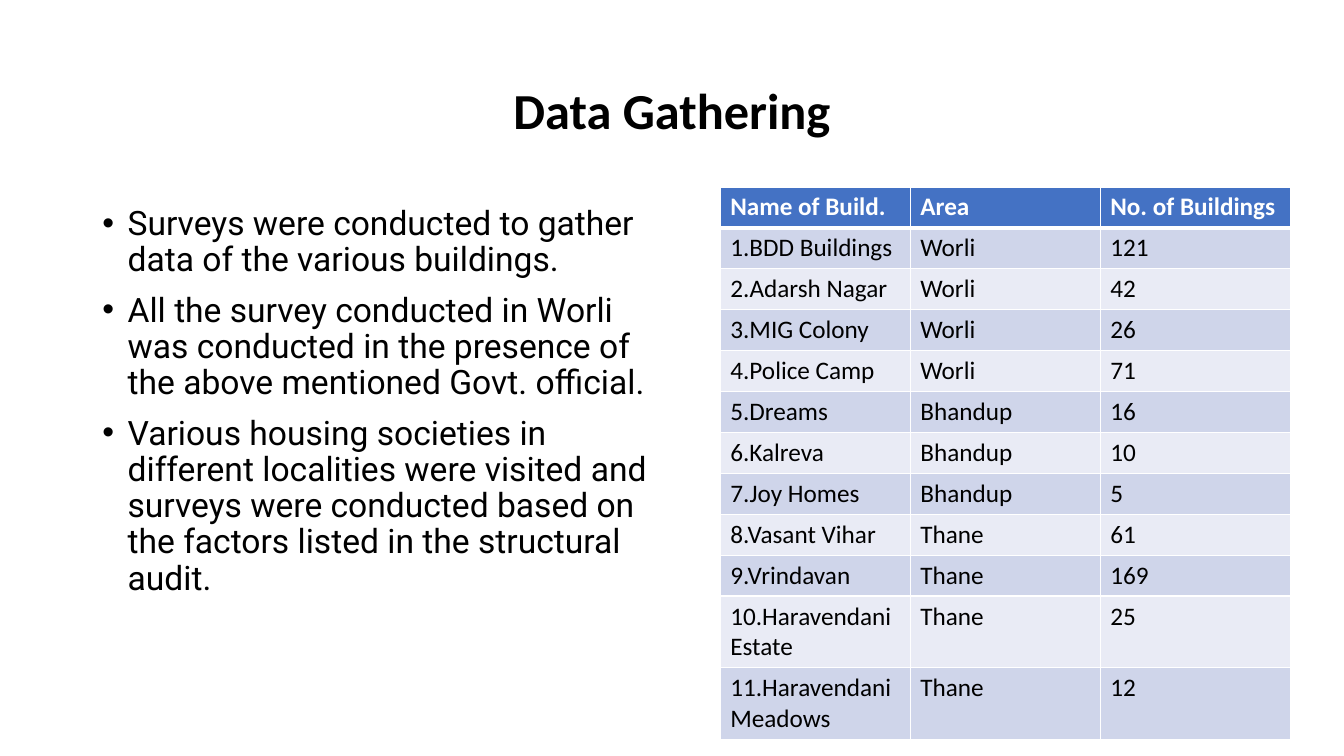
from dataclasses import dataclass

from lxml.etree import SubElement
from pptx import Presentation
from pptx.dml.color import RGBColor
from pptx.enum.text import MSO_ANCHOR, MSO_AUTO_SIZE, PP_ALIGN
from pptx.oxml.ns import qn
from pptx.util import Emu, Pt

EMU_PER_PX = 9525


@dataclass(frozen=True)
class Theme:
    text: str = "000000"
    white: str = "FFFFFF"
    header: str = "4472C4"
    bands: tuple = ("CFD5EA", "E9EBF5")
    heading_font: str = "Calibri"
    body_font: str = "Roboto"
    title_size: int = 36
    body_size: int = 24
    table_size: int = 18


THEME = Theme()

POINTS = [
    "Surveys were conducted to gather data of the various buildings.",
    "All the survey conducted in Worli was conducted in the presence of "
    "the above mentioned Govt. official.",
    "Various housing societies in different localities were visited and "
    "surveys were conducted based on the factors listed in the structural audit.",
]

HEADINGS = ("Name of Build.", "Area", "No. of Buildings")
BUILDINGS = [
    ("BDD Buildings", "Worli", 121),
    ("Adarsh Nagar", "Worli", 42),
    ("MIG Colony", "Worli", 26),
    ("Police Camp", "Worli", 71),
    ("Dreams", "Bhandup", 16),
    ("Kalreva", "Bhandup", 10),
    ("Joy Homes", "Bhandup", 5),
    ("Vasant Vihar", "Thane", 61),
    ("Vrindavan", "Thane", 169),
    ("Haravendani Estate", "Thane", 25),
    ("Haravendani Meadows", "Thane", 12),
]


def px(n):
    return Emu(n * EMU_PER_PX)


def write(p, text, *, size, font=THEME.heading_font, color=THEME.text,
          bold=False, align=None, line=None, before=None):
    """Put one formatted run into a paragraph."""
    r = p.add_run()
    r.text = text
    r.font.name, r.font.size, r.font.bold = font, Pt(size), bold
    r.font.color.rgb = RGBColor.from_string(color)
    if align is not None:
        p.alignment = align
    if line is not None:
        p.line_spacing = line
    if before is not None:
        p.space_before = Pt(before)


def place(sp, x, y, w, h, anchor):
    """Move a placeholder and return its text frame."""
    sp.left, sp.top, sp.width, sp.height = map(px, (x, y, w, h))
    tf = sp.text_frame
    tf.word_wrap = True
    tf.auto_size = MSO_AUTO_SIZE.NONE
    tf.vertical_anchor = anchor
    return tf


def add_bullet(p, indent):
    pPr = p._p.get_or_add_pPr()
    pPr.set("marL", str(px(indent)))
    pPr.set("indent", str(px(-indent)))
    SubElement(pPr, qn("a:buFont"), typeface="Arial")
    SubElement(pPr, qn("a:buChar"), char="•")


def set_borders(cell, top=1, bottom=1):
    tcPr = cell._tc.get_or_add_tcPr()
    for side, width in (("L", 1), ("R", 1), ("T", top), ("B", bottom)):
        ln = SubElement(tcPr, qn(f"a:ln{side}"), w=str(Pt(width)))
        fill = SubElement(ln, qn("a:solidFill"))
        SubElement(fill, qn("a:srgbClr"), val=THEME.white)


def add_title(slide, text):
    tf = place(slide.shapes.title, 88, 38, 1104, 139, MSO_ANCHOR.MIDDLE)
    write(tf.paragraphs[0], text, size=THEME.title_size, bold=True,
          align=PP_ALIGN.CENTER, line=0.9)


def add_points(slide, points):
    tf = place(slide.placeholders[1], 88, 192, 544, 457, MSO_ANCHOR.TOP)
    for i, text in enumerate(points):
        p = tf.add_paragraph() if i else tf.paragraphs[0]
        write(p, text, size=THEME.body_size, font=THEME.body_font,
              line=0.9, before=10)
        add_bullet(p, 24)


def add_building_table(slide, x, y, col_w, row_h):
    rows = [HEADINGS] + [(f"{n}.{name}", area, str(count))
                         for n, (name, area, count) in enumerate(BUILDINGS, 1)]
    table = slide.shapes.add_table(
        len(rows), len(HEADINGS), px(x), px(y),
        px(col_w * len(HEADINGS)), px(row_h * len(rows))).table
    for col in table.columns:
        col.width = px(col_w)
    for i, values in enumerate(rows):
        table.rows[i].height = px(row_h)
        is_header = i == 0
        fill = THEME.header if is_header else THEME.bands[(i - 1) % 2]
        for j, text in enumerate(values):
            cell = table.cell(i, j)
            # Thick rule between the header and the first row
            set_borders(cell, top=3 if i == 1 else 1, bottom=3 if is_header else 1)
            cell.fill.solid()
            cell.fill.fore_color.rgb = RGBColor.from_string(fill)
            write(cell.text_frame.paragraphs[0], text, size=THEME.table_size,
                  color=THEME.white if is_header else THEME.text, bold=is_header)


def main():
    prs = Presentation()
    prs.slide_width, prs.slide_height = px(1280), px(720)
    slide = prs.slides.add_slide(prs.slide_layouts[1])

    # Heading and survey notes
    add_title(slide, "Data Gathering")
    add_points(slide, POINTS)

    # Surveyed buildings
    add_building_table(slide, x=686, y=178, col_w=181, row_h=39)

    prs.save("out.pptx")


if __name__ == "__main__":
    main()
